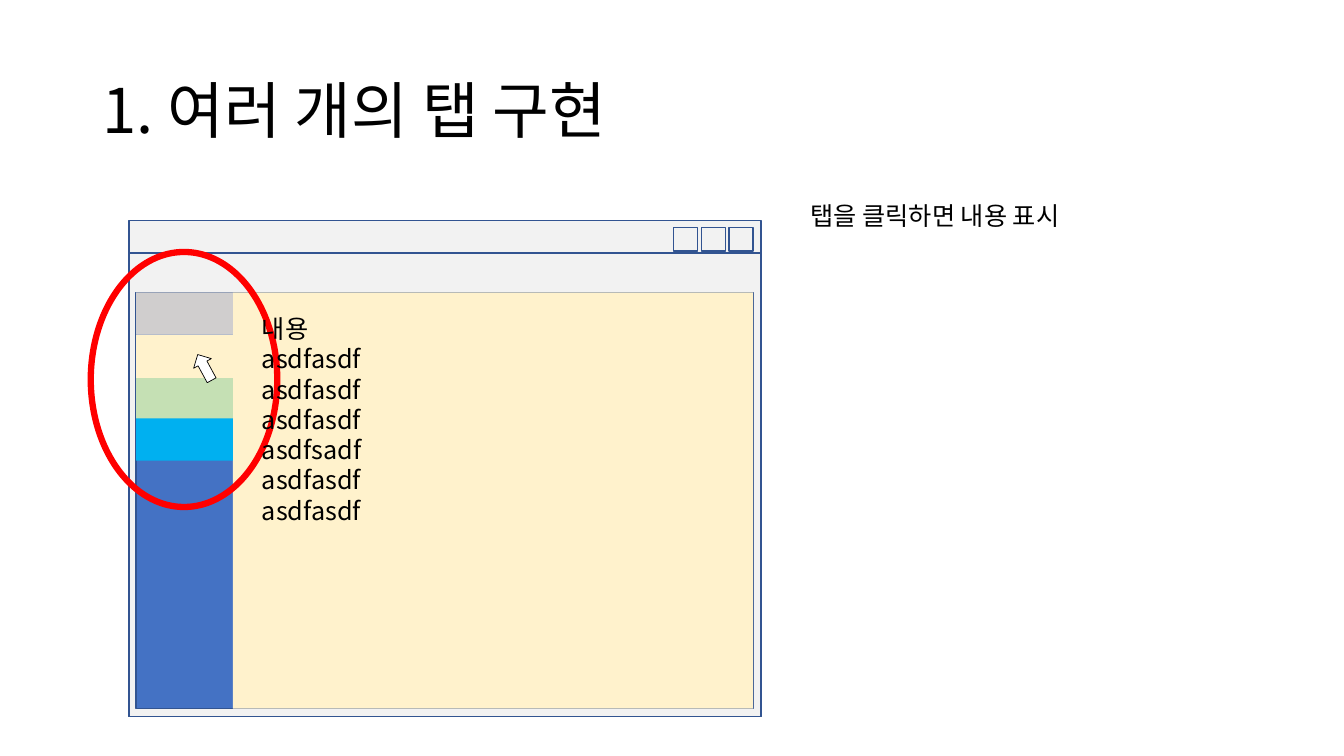
from pptx import Presentation, util as u
from pptx.dml.color import RGBColor
from pptx.enum import shapes, text
from pptx.oxml.ns import qn
from lxml import etree

# Content
TITLE = "1. 여러 개의 탭 구현"
NOTE = "탭을 클릭하면 내용 표시"
BODY = ["내용", "asdfasdf", "asdfasdf", "asdfasdf", "asdfsadf", "asdfasdf", "asdfasdf"]
FONT = "Noto Sans CJK KR"
COLORS = {"window": "F2F2F2", "border": "325491", "sidebar": "4472C4",
          "page": "FFF2CC", "green": "C5E0B4", "cyan": "00B0F0",
          "gray": "D0CECE", "mark": "FF0000", "white": "FFFFFF", "black": "000000"}
KIND = shapes.MSO_SHAPE

prs = Presentation()
prs.slide_width, prs.slide_height = u.Inches(13.33), u.Inches(7.5)
s = prs.slides.add_slide(prs.slide_layouts[6])


def color(name):
    return RGBColor.from_string(COLORS[name])


def add_shape(box, fill=None, line=None, width=1, kind=KIND.RECTANGLE):
    sp = s.shapes.add_shape(kind, *map(u.Inches, box))
    sp.shadow.inherit = False
    if fill:
        sp.fill.solid()
        sp.fill.fore_color.rgb = color(fill)
    else:
        sp.fill.background()
    if line:
        sp.line.color.rgb = color(line)
        sp.line.width = u.Pt(width)
    else:
        sp.line.fill.background()
    return sp


def add_text(box, lines, size=18, anchor=text.MSO_ANCHOR.TOP, spacing=None):
    tf = s.shapes.add_textbox(*map(u.Inches, box)).text_frame
    tf.word_wrap = True
    tf.vertical_anchor = anchor
    for i, line in enumerate(lines):
        p = tf.paragraphs[0] if i == 0 else tf.add_paragraph()
        if spacing:
            p.line_spacing = spacing
        r = p.add_run()
        r.text = line
        r.font.size = u.Pt(size)
        r.font.name = FONT
        r.font.color.rgb = color("black")
        etree.SubElement(r._r.get_or_add_rPr(), qn("a:ea")).set("typeface", FONT)


# Window frame, title bar and its three buttons
left, top, width, bottom = 1.28, 2.19, 6.27, 7.11
for y in (top, top + 0.32):
    add_shape((left, y, width, bottom - y), "window", "border")
for i in range(3):
    add_shape((7.23 - 0.275 * i, 2.26, 0.24, 0.23), "window", "border")

# Slide title
add_text((0.92, 0.4, 11.5, 1.45), [TITLE], 44, text.MSO_ANCHOR.MIDDLE, 0.9)

# Sidebar and page
tab_x, tab_y, tab_w, tab_h = 1.35, 2.9, 0.96, 0.42
add_shape((tab_x, tab_y, 6.12, 4.13), "sidebar", "border")
add_shape((tab_x + tab_w, tab_y, 5.16, 4.13), "page")

# Tabs; the selected one shares the page colour
for y, fill in [(3.32, "page"), (3.75, "green"), (4.15, "cyan")]:
    add_shape((tab_x, y, tab_w, 0.43 if fill == "page" else tab_h), fill)

# Highlight ring and texts
add_shape((0.9, 2.5, 1.85, 2.53), None, "mark", 4.5, KIND.OVAL)
add_text((2.5, 3.06, 4.88, 2.22), BODY)
add_text((7.94, 1.94, 4.38, 0.4), [NOTE])

# Mouse pointer and first tab
pointer = add_shape((1.93, 3.5, 0.2, 0.29), "white", "black", 0.5, KIND.UP_ARROW)
pointer.rotation = 331.6
add_shape((tab_x, tab_y, tab_w, tab_h), "gray")

prs.save("out.pptx")
